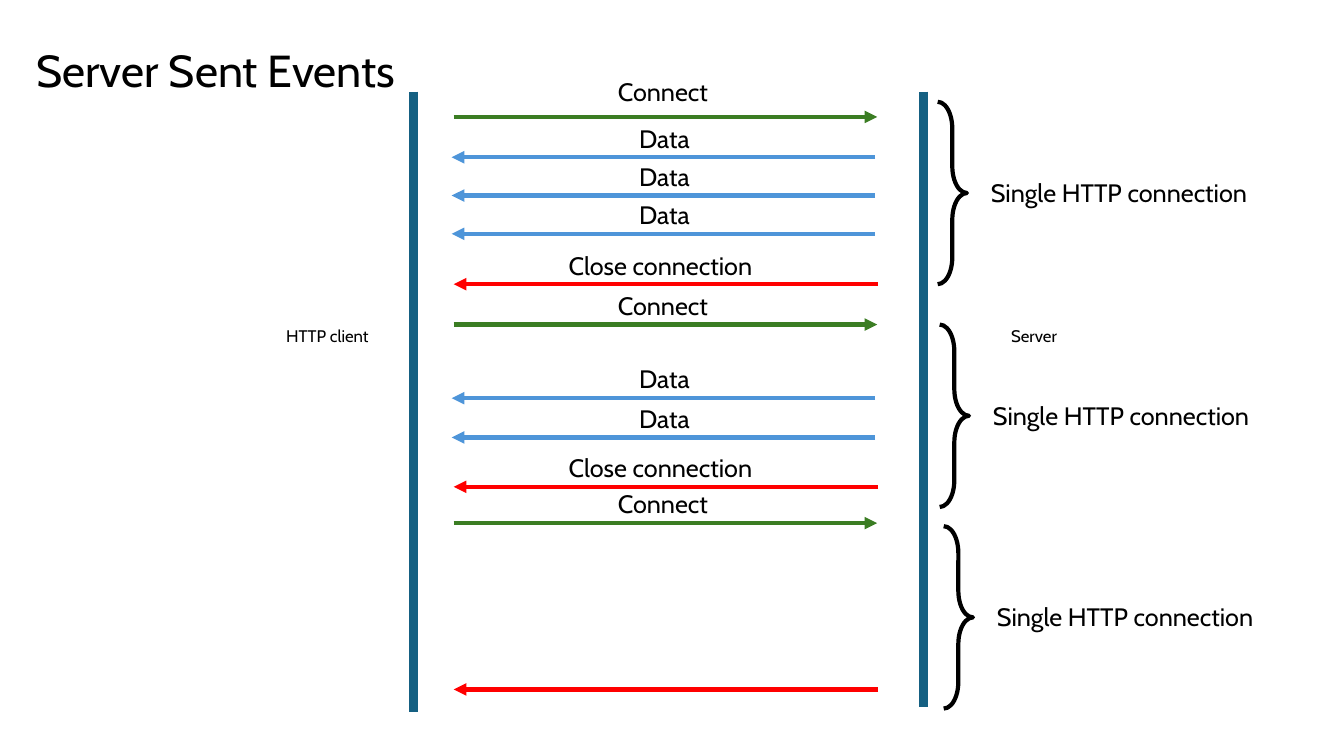
from dataclasses import dataclass

from pptx import Presentation
from pptx.dml.color import RGBColor
from pptx.enum.shapes import MSO_CONNECTOR, MSO_SHAPE
from pptx.enum.text import MSO_ANCHOR, MSO_AUTO_SIZE, PP_ALIGN
from pptx.oxml.ns import qn
from pptx.util import Inches, Pt
from lxml.etree import SubElement

# Slide and grid
prs = Presentation()
prs.slide_width, prs.slide_height = Inches(13.33), Inches(7.5)
COLS, ROWS = 133.3, 75
BLACK = "000000"
FRAME_FORMAT = {
    "word_wrap": False,
    "auto_size": MSO_AUTO_SIZE.SHAPE_TO_FIT_TEXT,
    "vertical_anchor": MSO_ANCHOR.TOP,
}


@dataclass
class Message:
    label: str
    width: float
    color: str
    start: float
    end: float


@dataclass
class Step:
    message: Message
    row: float
    label_rise: float = 3.9
    labelled: bool = True


@dataclass
class Lifeline:
    name: str
    col: float
    bottom: float
    name_col: float
    name_width: float


@dataclass
class Brace:
    col: float
    row: float


CONNECT = Message("Connect", 11.4, "3B7D23", 45, 87)
DATA = Message("Data", 7.2, "4E95D9", 86.8, 44.8)
CLOSE = Message("Close connection", 21.2, "FF0000", 87.1, 45)
LABEL_CENTER = 66

STEPS = [
    Step(CONNECT, 11.6, label_rise=4.5),
    Step(DATA, 15.6),
    Step(DATA, 19.4),
    Step(DATA, 23.2),
    Step(CLOSE, 28.2),
    Step(CONNECT, 32.2),
    Step(DATA, 39.5),
    Step(DATA, 43.4),
    Step(CLOSE, 48.3),
    Step(CONNECT, 51.9),
    Step(CLOSE, 68.4, labelled=False),
]
LIFELINES = [
    Lifeline("HTTP client", 41, 70.6, 27.4, 10.2),
    Lifeline("Server", 91.6, 70.1, 99.3, 6.6),
]
BRACES = [Brace(93, 10.1), Brace(93.2, 32.2), Brace(93.6, 52.2)]


def x(cols: float) -> int:
    return round(prs.slide_width * cols / COLS)


def y(rows: float) -> int:
    return round(prs.slide_height * rows / ROWS)


def rgb(color: str) -> RGBColor:
    return RGBColor.from_string(color)


def write(sp, text: str, size: float) -> None:
    tf = sp.text_frame
    for name, value in FRAME_FORMAT.items():
        setattr(tf, name, value)
    p = tf.paragraphs[0]
    p.alignment = PP_ALIGN.LEFT
    r = p.add_run()
    r.text = text
    for name, value in {"name": "Cabin", "size": Pt(size)}.items():
        setattr(r.font, name, value)
    r.font.color.rgb = rgb(BLACK)


def add_label(text: str, col: float, row: float, width: float,
              height: float = 4, size: float = 18) -> None:
    write(s.shapes.add_textbox(x(col), y(row), x(width), y(height)), text, size)


def add_line(start: tuple[float, float], end: tuple[float, float],
             color: str, weight: float, arrow: bool = False) -> None:
    cxn = s.shapes.add_connector(MSO_CONNECTOR.STRAIGHT, x(start[0]), y(start[1]),
                                 x(end[0]), y(end[1]))
    cxn.line.color.rgb = rgb(color)
    cxn.line.width = Pt(weight)
    sp_pr = cxn._element.spPr
    if arrow:
        SubElement(sp_pr.find(qn("a:ln")), qn("a:tailEnd"), type="triangle")
    SubElement(sp_pr, qn("a:effectLst"))


def add_brace(brace: Brace) -> None:
    sp = s.shapes.add_shape(MSO_SHAPE.RIGHT_BRACE, x(brace.col), y(brace.row),
                            x(2.9), y(18.1))
    sp.shadow.inherit = False
    sp.adjustments[0] = 0.915
    sp.fill.background()
    sp.line.color.rgb = rgb(BLACK)
    sp.line.width = Pt(3)
    add_label("Single HTTP connection", brace.col + 4.3, brace.row + 7, 27.6)


# Title
s = prs.slides.add_slide(prs.slide_layouts[5])
title = s.shapes.title
title.left, title.top, title.width, title.height = x(2.6), y(3.7), x(38), y(6.4)
write(title, "Server Sent Events", 32)

# Client and server lifelines
for life in LIFELINES:
    add_line((life.col, 9.1), (life.col, life.bottom), "156082", 6)
    add_label(life.name, life.name_col, 31.8, life.name_width, height=3, size=12)

# Messages
for step in STEPS:
    m = step.message
    add_line((m.start, step.row), (m.end, step.row), m.color, 3, arrow=True)
    if step.labelled:
        add_label(m.label, LABEL_CENTER - m.width / 2, step.row - step.label_rise, m.width)

# Connection spans
for brace in BRACES:
    add_brace(brace)

prs.save("out.pptx")
